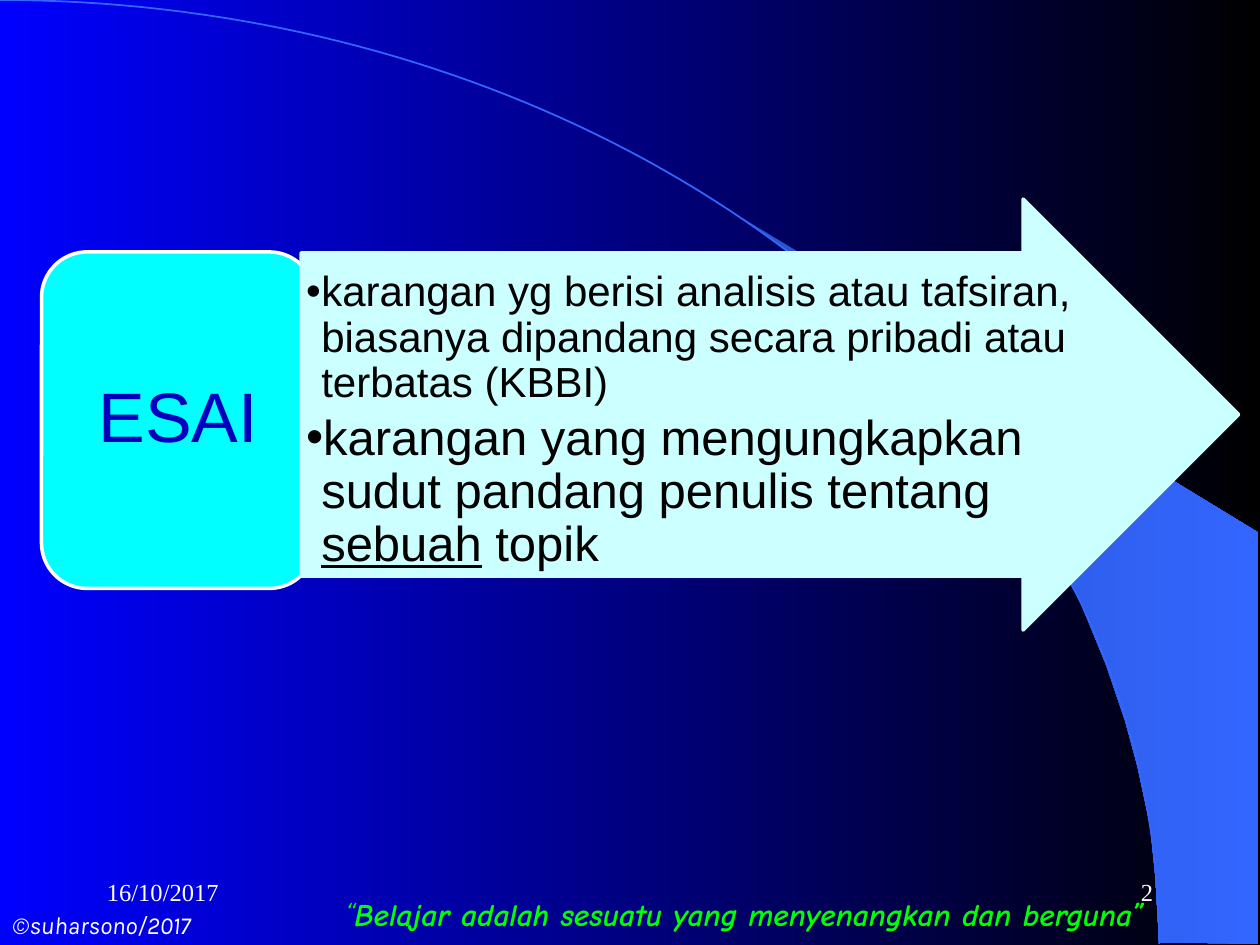
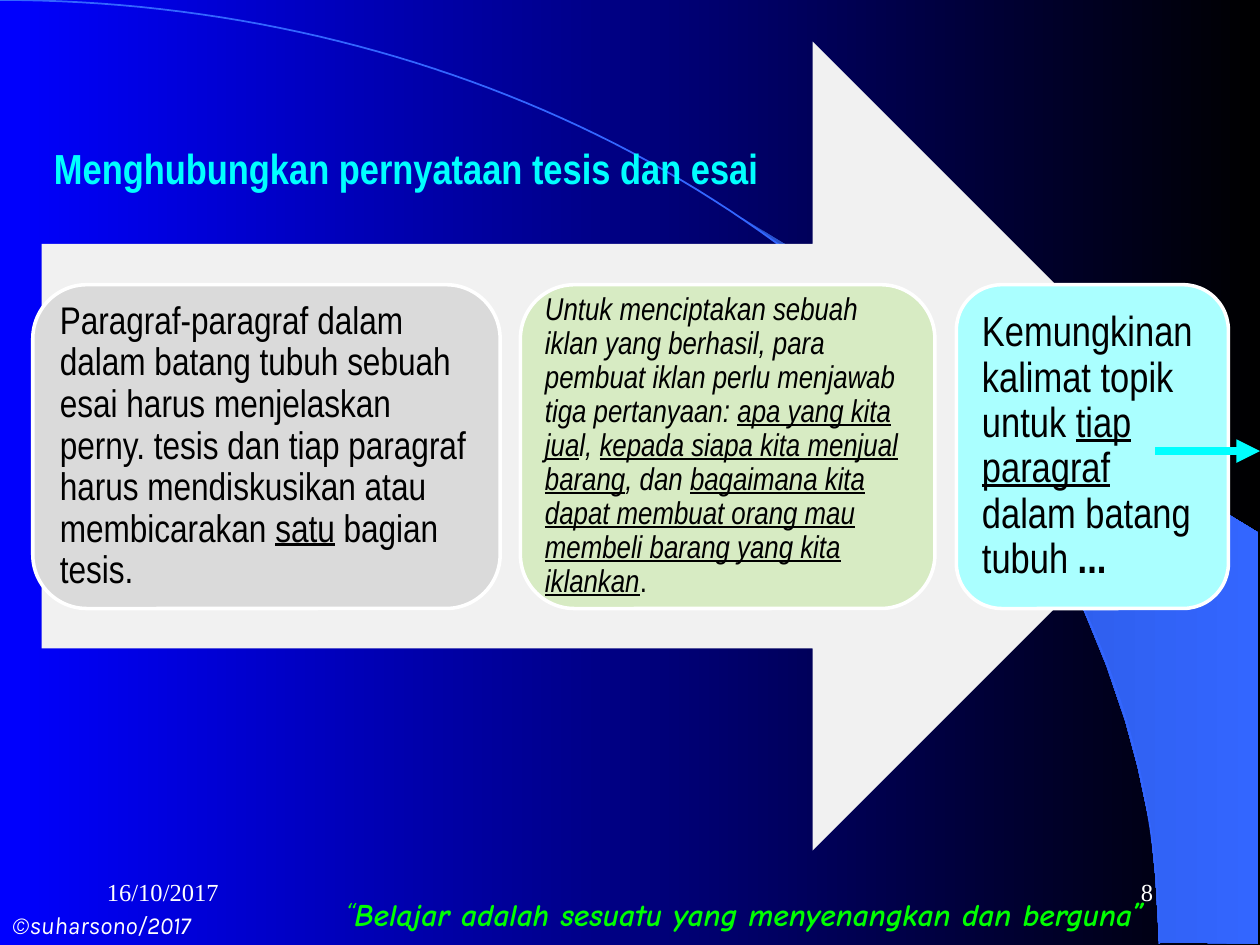
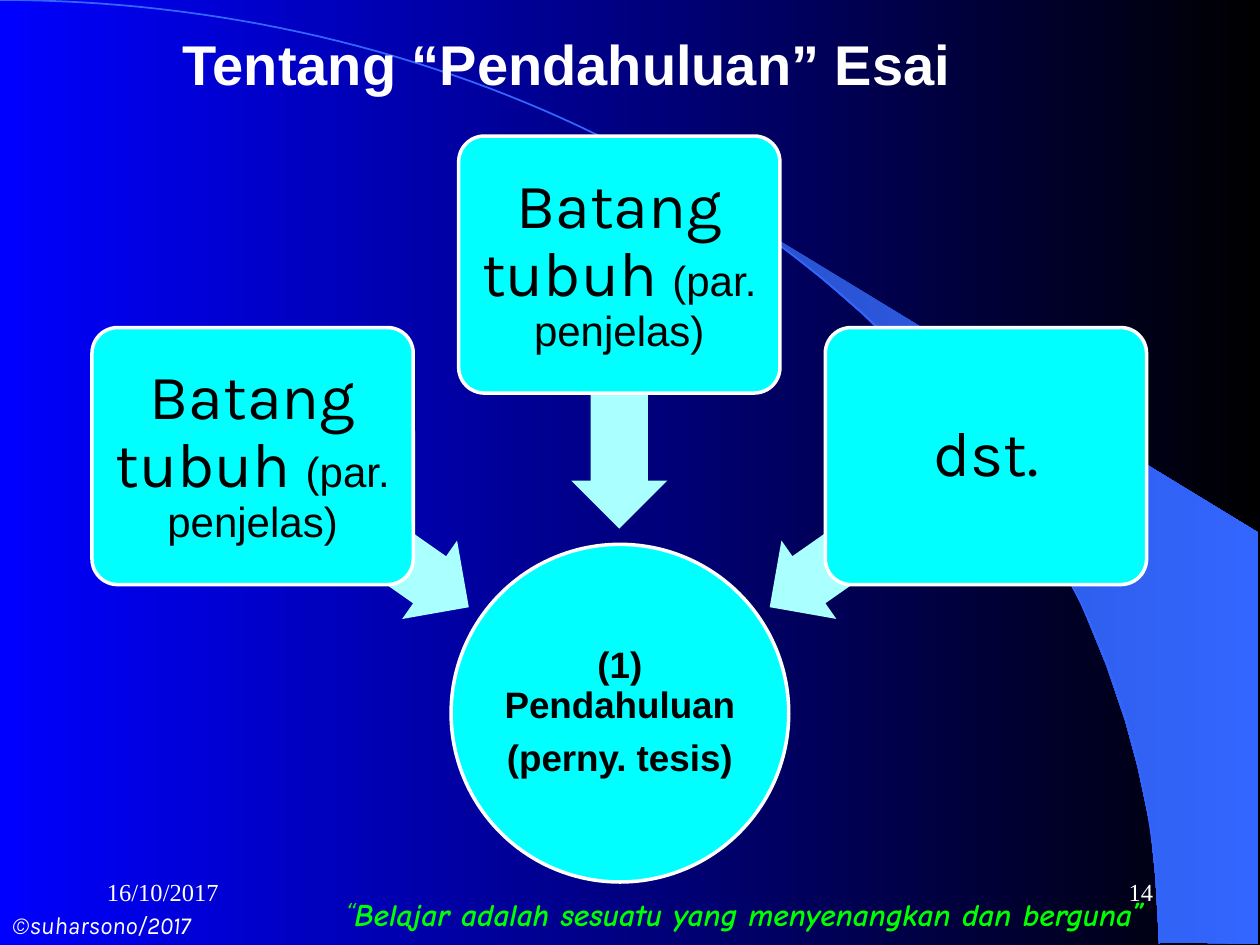
import math

from lxml import etree
from pptx import Presentation
from pptx.dml.color import RGBColor
from pptx.enum.shapes import MSO_CONNECTOR, MSO_SHAPE
from pptx.enum.text import MSO_ANCHOR, PP_ALIGN
from pptx.oxml.ns import qn
from pptx.util import Inches, Pt

ROUNDED, ELLIPSE = MSO_SHAPE.ROUNDED_RECTANGLE, MSO_SHAPE.OVAL
RIGHT_ARROW, LEFT_ARROW = MSO_SHAPE.RIGHT_ARROW, MSO_SHAPE.LEFT_ARROW
LEFT, CENTER, RIGHT = PP_ALIGN.LEFT, PP_ALIGN.CENTER, PP_ALIGN.RIGHT
TOP, MIDDLE = MSO_ANCHOR.TOP, MSO_ANCHOR.MIDDLE

BLUE, BLACK, WHITE = "0000FF", "000000", "FFFFFF"
CYAN, PALE_CYAN, ICE = "00FFFF", "AAFFFF", "CCFFFF"
NAVY, GREEN = "0000BF", "00FF00"
ARC_BLUE, SWOOSH_DARK = "3366FF", "2851CC"
SANS, NARROW, SERIF = "Arial", "Arial Narrow", "Times New Roman"
HAND, GROTESQUE = "Comic Neue", "Karla"

ARC_WIDTH, ARC_HEIGHT, ARC_STEPS = 9.2, 7.49, 90
SWOOSH = [
    (9.2, 7.48), (9.99, 7.49), (9.99, 4.23), (5.89, 1.73), (6.24, 1.99),
    (6.53, 2.22), (6.85, 2.5), (7.16, 2.8), (7.62, 3.3), (8.03, 3.84),
    (8.32, 4.31), (8.58, 4.79), (8.78, 5.28), (8.93, 5.72), (9.03, 6.09),
    (9.13, 6.56), (9.17, 6.96),
]
UNDERLINED = {"underline": True}


def rgb(hex_color):
    return RGBColor.from_string(hex_color)


def set_gradient(fill, start, end):
    """Fill from left to right with two colours."""
    fill.gradient()
    fill.gradient_angle = 0
    for stop, color, position in zip(fill.gradient_stops, (start, end), (0, 1)):
        stop.color.rgb = rgb(color)
        stop.position = position


def set_line(shape, color, width):
    if color is None:
        shape.line.fill.background()
    else:
        shape.line.color.rgb = rgb(color)
        shape.line.width = Pt(width)


def add_outline(slide, points, closed):
    corners = [(Inches(x), Inches(y)) for x, y in points]
    builder = slide.shapes.build_freeform(*corners[0])
    builder.add_line_segments(corners[1:], close=closed)
    outline = builder.convert_to_shape()
    outline.shadow.inherit = False
    return outline


def write(frame, paragraphs, font, size, color, align=LEFT, anchor=MIDDLE,
          insets=(0.1, 0.05, 0.1, 0.05), wrap=True, bold=False, italic=False,
          spacing=None, after=0):
    """Fill a frame; a paragraph is a list of (text, font changes) runs.

    The space after a paragraph is a share of the text size.
    """
    frame.word_wrap = wrap
    frame.vertical_anchor = anchor
    (frame.margin_left, frame.margin_top,
     frame.margin_right, frame.margin_bottom) = map(Inches, insets)
    for number, runs in enumerate(paragraphs):
        paragraph = frame.add_paragraph() if number else frame.paragraphs[0]
        paragraph.alignment = align
        paragraph.line_spacing = spacing
        paragraph.space_after = Pt(round(size * after, 1))
        paragraph.font.name = font
        paragraph.font.size = Pt(size)
        paragraph.font.color.rgb = rgb(color)
        paragraph.font.bold = bold
        paragraph.font.italic = italic
        for text, changes in runs:
            run = paragraph.add_run()
            run.text = text
            # Run fonts are explicit so that every viewer applies them.
            settings = {"name": font, "size": Pt(size), "bold": bold,
                        "italic": italic, **changes}
            for attribute, value in settings.items():
                setattr(run.font, attribute, value)
            run.font.color.rgb = rgb(color)


def add_label(slide, box, runs, font, size, color, **style):
    label = slide.shapes.add_textbox(*map(Inches, box))
    write(label.text_frame, [runs], font, size, color, **style)


def add_block(slide, kind, box, fill, line=None, adjustments=(), rotation=0):
    block = slide.shapes.add_shape(kind, *map(Inches, box))
    block.shadow.inherit = False
    block.fill.solid()
    block.fill.fore_color.rgb = rgb(fill)
    set_line(block, line, 2)
    for index, value in enumerate(adjustments):
        block.adjustments[index] = value
    block.rotation = rotation
    return block


def add_card(slide, kind, box, fill, paragraphs, font, size, inset,
             color=BLACK, adjustments=(), **style):
    """Add a white-edged block with diagram text."""
    card = add_block(slide, kind, box, fill, WHITE, adjustments)
    insets = inset if isinstance(inset, tuple) else (inset,) * 4
    write(card.text_frame, paragraphs, font, size, color, insets=insets,
          spacing=0.9, after=0.35, **style)


def add_bullet(paragraph, indent):
    properties = paragraph._p.get_or_add_pPr()
    properties.set("marL", str(Inches(indent)))
    properties.set("indent", str(-Inches(indent)))
    etree.SubElement(properties, qn("a:buFont"), typeface=SANS)
    etree.SubElement(properties, qn("a:buChar"), char="•")
    # The bullet has to stand before the default run properties.
    defaults = properties.find(qn("a:defRPr"))
    if defaults is not None:
        properties.append(defaults)


def add_pointer(slide, start, end, color, width):
    pointer = slide.shapes.add_connector(
        MSO_CONNECTOR.STRAIGHT, *map(Inches, (*start, *end)))
    set_line(pointer, color, width)
    etree.SubElement(pointer.line._get_or_add_ln(), qn("a:tailEnd"),
                     type="triangle")
    etree.SubElement(pointer._element.spPr, qn("a:effectLst"))


def add_base_slide(deck, number):
    """Add a slide with the shared background, swoosh and footers."""
    slide = deck.slides.add_slide(deck.slide_layouts[6])
    set_gradient(slide.background.fill, BLUE, BLACK)

    swoosh = add_outline(slide, SWOOSH, closed=True)
    set_gradient(swoosh.fill, SWOOSH_DARK, ARC_BLUE)
    set_line(swoosh, None, 0)

    angles = [math.pi / 2 * step / ARC_STEPS for step in range(ARC_STEPS + 1)]
    arc = add_outline(slide, [(ARC_WIDTH * math.sin(angle),
                               ARC_HEIGHT * (1 - math.cos(angle)))
                              for angle in angles], closed=False)
    arc.fill.background()
    set_line(arc, ARC_BLUE, 1)

    add_label(slide, (0.75, 6.83, 2.08, 0.5), [("16/10/2017", {})],
              SERIF, 14, WHITE)
    add_label(slide, (7.17, 6.83, 2.08, 0.5), [(str(number), {})],
              SERIF, 14, WHITE, align=RIGHT)
    add_label(slide, (0, 7.17, 2, 0.33), [("©suharsono/2017", {})],
              GROTESQUE, 14, WHITE, anchor=TOP, italic=True)
    motto = [("“", {"bold": False}),
             ("Belajar adalah sesuatu yang menyenangkan dan berguna”", {})]
    add_label(slide, (1.92, 7, 7.25, 0.5), motto, HAND, 18, GREEN,
              align=RIGHT, bold=True, italic=True)
    return slide


def build_definition(deck):
    slide = add_base_slide(deck, 2)
    add_card(slide, ROUNDED, (0.33, 2, 2.17, 2.67), CYAN, [[("ESAI", {})]],
             SANS, 40, (0.25, 0.13, 0.25, 0.13), NAVY, align=CENTER)

    meanings = add_block(slide, RIGHT_ARROW, (2.39, 1.58, 7.44, 3.42), ICE,
                         ICE, (0.75, 0.5))
    larger = {"size": Pt(28)}
    paragraphs = [
        [("karangan yg berisi analisis atau tafsiran, biasanya dipandang "
          "secara pribadi atau terbatas (KBBI)", {})],
        [("karangan yang mengungkapkan sudut pandang penulis tentang ", larger),
         ("sebuah", {**larger, **UNDERLINED}),
         (" topik", larger)],
    ]
    write(meanings.text_frame, paragraphs, SANS, 24, BLACK, anchor=TOP,
          insets=(0.04, 0.14, 0.01, 0.13), spacing=0.9, after=0.15)
    for paragraph in meanings.text_frame.paragraphs:
        add_bullet(paragraph, 0.12)


def build_thesis_link(deck):
    slide = add_base_slide(deck, 8)
    add_block(slide, RIGHT_ARROW, (0.33, 0.33, 9.33, 6.42), "F1F1F1")

    body = [
        ("Paragraf-paragraf dalam dalam batang tubuh sebuah esai harus "
         "menjelaskan perny. tesis dan tiap paragraf harus mendiskusikan "
         "atau membicarakan ", {}),
        ("satu", UNDERLINED), (" bagian tesis.", {}),
    ]
    example = [
        ("Untuk menciptakan sebuah iklan yang berhasil, para pembuat iklan "
         "perlu menjawab tiga pertanyaan: ", {}),
        ("apa yang kita jua", UNDERLINED), ("l, ", {}),
        ("kepada siapa kita menjual barang", UNDERLINED), (", dan ", {}),
        ("bagaimana kita dapat membuat orang mau membeli barang yang kita "
         "iklankan", UNDERLINED),
        (".", {"italic": False}),
    ]
    topics = [
        ("Kemungkinan kalimat topik untuk ", {}),
        ("tiap paragraf", UNDERLINED), (" dalam batang tubuh ", {}),
        ("...", {"bold": True}),
    ]
    steps = [
        (0.26, 3.71, "DADADA", body, 22, 0.09, False),
        (4.13, 3.29, "D7EBC3", example, 18, 0.07, True),
        (7.59, 2.16, PALE_CYAN, topics, 24, 0.1, False),
    ]
    for left, width, fill, runs, size, inset, italic in steps:
        add_card(slide, ROUNDED, (left, 2.26, width, 2.57), fill, [runs],
                 NARROW, size, inset, italic=italic)

    add_label(slide, (0.33, 1.08, 6.42, 0.5),
              [("Menghubungkan pernyataan tesis dan esai", {})],
              NARROW, 24, CYAN, bold=True)
    add_pointer(slide, (9.17, 3.58), (10, 3.58), CYAN, 4.5)


def build_introduction(deck):
    slide = add_base_slide(deck, 14)
    add_label(slide, (0.75, 0.25, 7.5, 0.5),
              [("Tentang “Pendahuluan” Esai", {})],
              SANS, 32, WHITE, align=CENTER, bold=True)
    add_card(slide, ELLIPSE, (3.58, 4.32, 2.68, 2.68), CYAN,
             [[("(1) Pendahuluan", {})], [("(perny. tesis)", {})]],
             SANS, 21, 0.01, align=CENTER, bold=True)

    explanation = [("Batang tubuh ", {}),
                   ("(par. penjelas)", {"name": SANS, "size": Pt(24)})]
    branches = [
        (2.6, 3.84, explanation),
        (1.08, 2.77, explanation),
        (2.6, 3.84, [("dst.", {})]),
    ]
    for column, (card_top, arrow_top, runs) in enumerate(branches):
        add_block(slide, LEFT_ARROW,
                  (1.82 + 2.05 * column, arrow_top, 2.09, 0.76), PALE_CYAN,
                  adjustments=(0.6, 0.5), rotation=215 + 55 * column)
        add_card(slide, ROUNDED, (0.73 + 2.91 * column, card_top, 2.55, 2.04),
                 CYAN, [runs], GROTESQUE, 36, 0.07, adjustments=(0.1,),
                 align=CENTER)


def main():
    deck = Presentation()
    deck.slide_width, deck.slide_height = Inches(10), Inches(7.5)
    build_definition(deck)
    build_thesis_link(deck)
    build_introduction(deck)
    deck.save("out.pptx")


if __name__ == "__main__":
    main()
